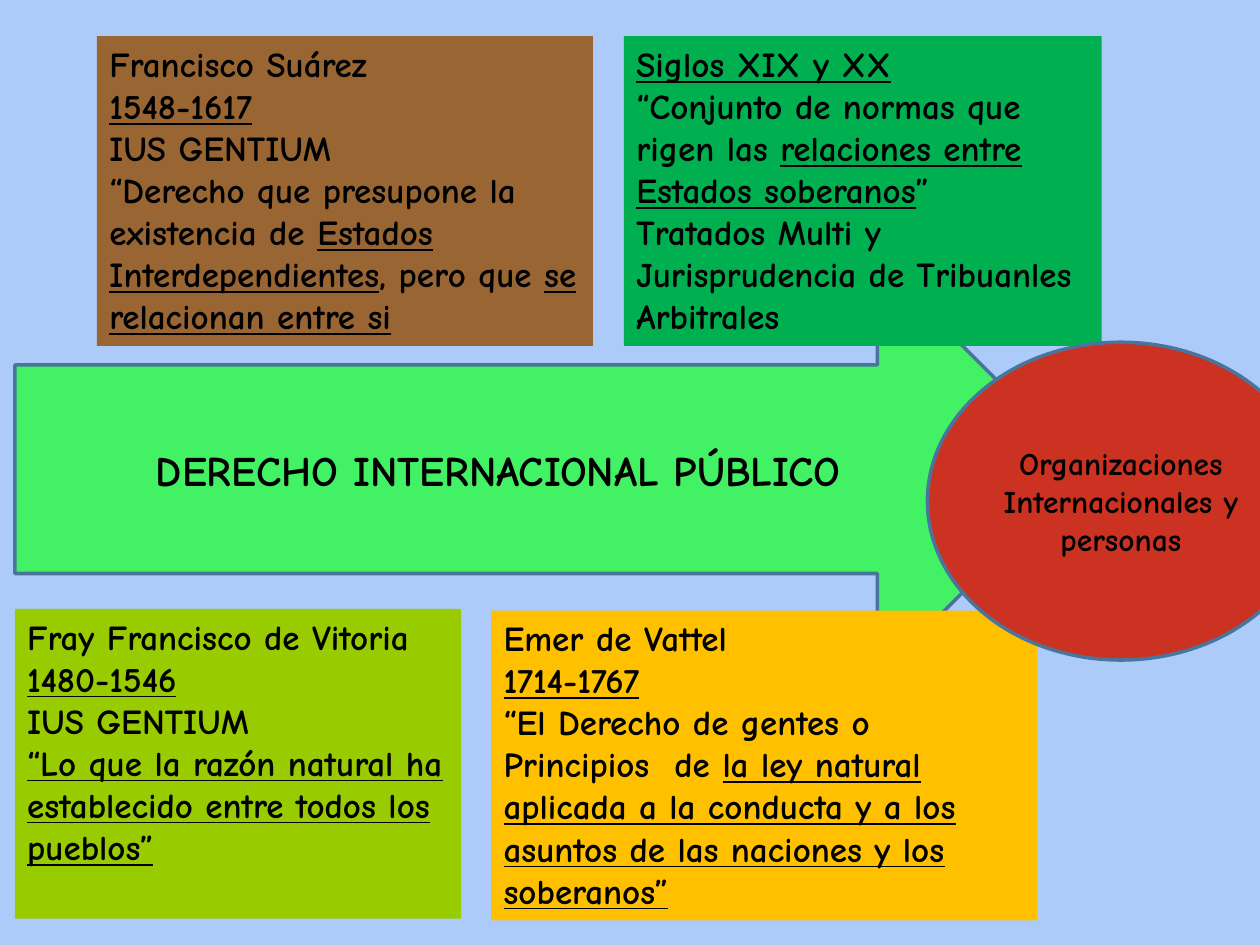
from pptx import Presentation
from pptx.dml.color import RGBColor
from pptx.enum.shapes import MSO_SHAPE as Preset
from pptx.enum.text import MSO_ANCHOR as Anchor, PP_ALIGN as Align
from pptx.util import Pt

SKY = RGBColor(0xAC, 0xCB, 0xF9)
BLACK = RGBColor(0x00, 0x00, 0x00)
STEEL = RGBColor(0x49, 0x74, 0x9B)
MINT = RGBColor(0x42, 0xF2, 0x64)
RED = RGBColor(0xCC, 0x32, 0x22)
LIME = RGBColor(0x99, 0xCC, 0x00)
BROWN = RGBColor(0x99, 0x66, 0x33)
AMBER = RGBColor(0xFF, 0xC0, 0x00)
GREEN = RGBColor(0x00, 0xB0, 0x50)

PANEL_HEIGHT = 177
UNDERLINE_MARK = "_"


def write_text(frame, text, size, font, color, align=Align.LEFT, anchor=Anchor.TOP):
    frame.word_wrap = True
    frame.vertical_anchor = anchor
    for index, line in enumerate(text.split("\n")):
        para = frame.add_paragraph() if index else frame.paragraphs[0]
        para.alignment = align
        for position, part in enumerate(line.split(UNDERLINE_MARK)):
            if not part:
                continue
            span = para.add_run()
            span.text = part
            span.font.name = font
            span.font.size = Pt(size)
            span.font.bold = True
            span.font.underline = position % 2 == 1
            span.font.color.rgb = color


class Slide:
    font = "Comic Neue"
    ink = BLACK
    outline = STEEL

    def __init__(self, page):
        self.page = page
        page.background.fill.solid()
        page.background.fill.fore_color.rgb = SKY

    def shape(self, preset, left, top, width, height, fill, text, size):
        shape = self.page.shapes.add_shape(
            preset, Pt(left), Pt(top), Pt(width), Pt(height))
        shape.shadow.inherit = False
        shape.fill.solid()
        shape.fill.fore_color.rgb = fill
        shape.line.color.rgb = self.outline
        shape.line.width = Pt(2)
        write_text(shape.text_frame, text, size=size, font=self.font,
                   color=self.ink, align=Align.CENTER, anchor=Anchor.MIDDLE)

    def panel(self, left, top, width, fill, text):
        box = self.page.shapes.add_textbox(
            Pt(left), Pt(top), Pt(width), Pt(PANEL_HEIGHT))
        box.fill.solid()
        box.fill.fore_color.rgb = fill
        write_text(box.text_frame, text, size=20, font=self.font, color=self.ink)


def main():
    deck = Presentation()
    deck.slide_width, deck.slide_height = Pt(720), Pt(540)
    slide = Slide(deck.slides.add_slide(deck.slide_layouts[6]))

    slide.shape(Preset.RIGHT_ARROW, 8.5, 149, 612, 238.3, MINT,
                "DERECHO INTERNACIONAL PÚBLICO", size=24)
    slide.panel(8.5, 348, 255, LIME,
                "Fray Francisco de Vitoria\n_1480-1546_\nIUS GENTIUM\n"
                "_“Lo que la razón natural ha establecido entre todos los pueblos”_")
    slide.panel(55.4, 20.7, 283.5, BROWN,
                "Francisco Suárez\n_1548-1617_\nIUS GENTIUM\n"
                "“Derecho que presupone la existencia de _Estados Interdependientes_, "
                "pero que _se relacionan entre si_")
    slide.panel(280.7, 349, 312, AMBER,
                "Emer de Vattel\n_1714-1767_\n"
                "“El Derecho de gentes o Principios  de _la ley natural aplicada a la "
                "conducta y a los asuntos de las naciones y los soberanos”_")
    slide.panel(356.5, 20.7, 273, GREEN,
                "_Siglos XIX y XX_\n"
                "“Conjunto de normas que rigen las _relaciones entre Estados soberanos_”\n"
                "Tratados Multi y Jurisprudencia de Tribuanles Arbitrales")
    slide.shape(Preset.OVAL, 530, 195.6, 221, 181.6, RED,
                "Organizaciones Internacionales y personas", size=18)

    deck.save("out.pptx")


if __name__ == "__main__":
    main()
